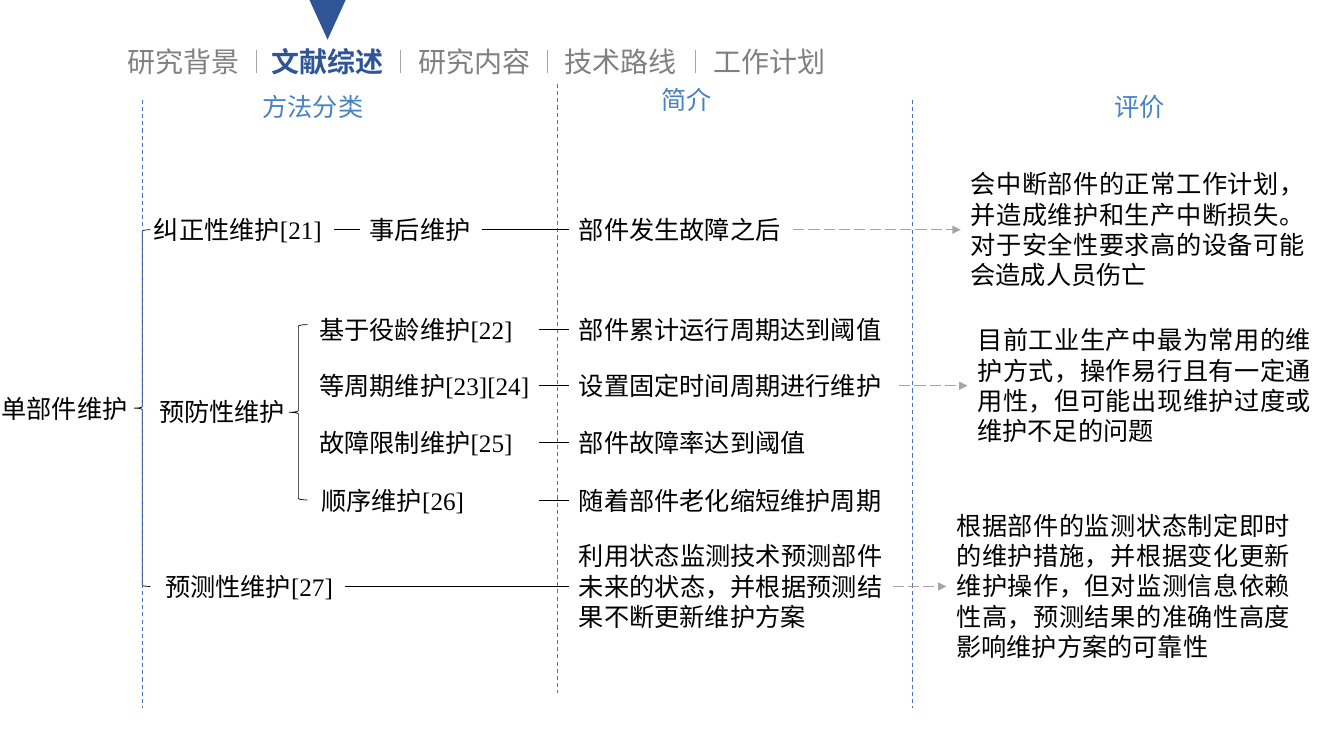
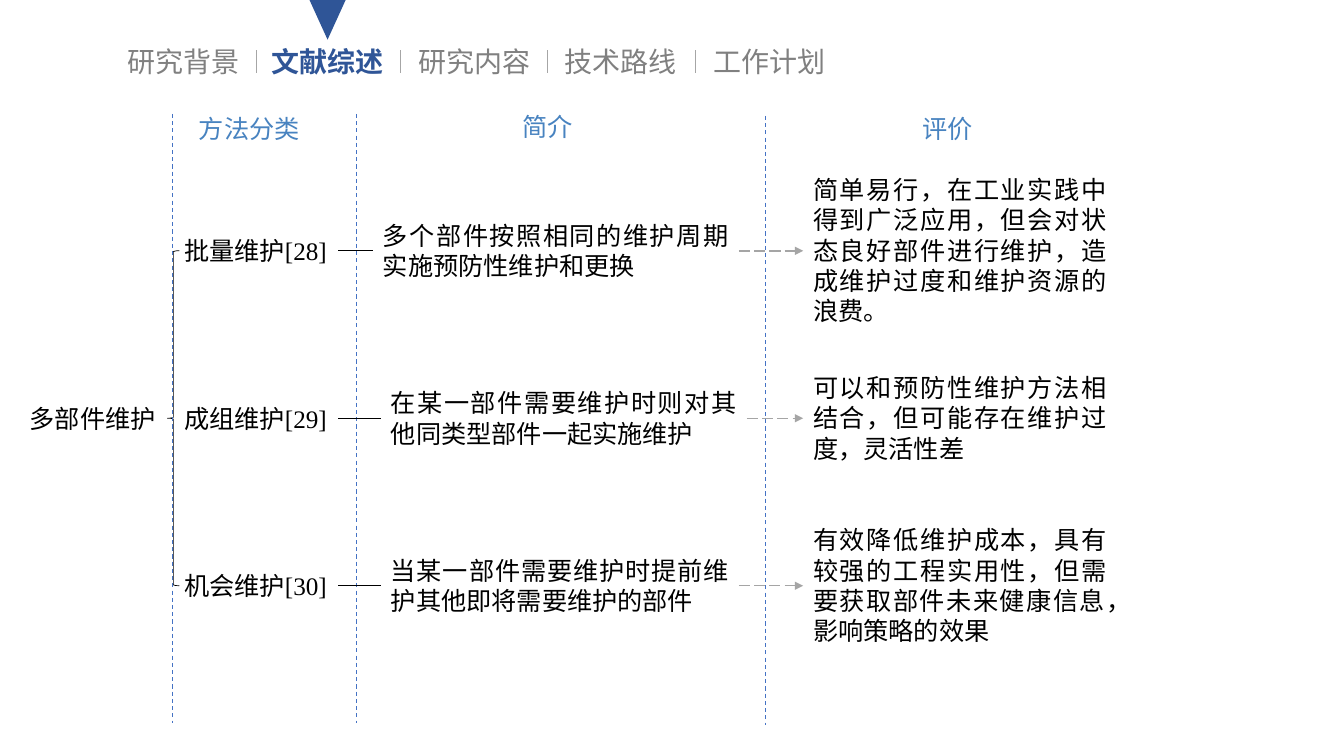
from dataclasses import dataclass

from lxml import etree
from pptx import Presentation
from pptx import util as u
from pptx.dml.color import RGBColor
from pptx.enum import dml, shapes, text
from pptx.oxml import ns

Cm, Pt = u.Cm, u.Pt
LEFT, CENTER, JUSTIFY = text.PP_ALIGN.LEFT, text.PP_ALIGN.CENTER, text.PP_ALIGN.JUSTIFY


@dataclass(frozen=True)
class Theme:
    nav: str = "808080"
    active: str = "2F5597"
    separator: str = "A6A6A6"
    heading: str = "4883C0"
    divider: str = "4472C4"
    arrow: str = "A5A5A5"
    ink: str = "000000"
    head_font: str = "Noto Sans CJK SC"
    body_font: str = "Times New Roman"
    nav_size: int = 20
    body_size: int = 18
    thin: float = 0.5
    medium: float = 0.75
    thick: float = 1


T = Theme()
BODY = {"name": T.body_font, "size": Pt(T.body_size), "color": T.ink}
HEADING = {"name": T.head_font, "size": Pt(T.body_size), "color": T.heading}
NAV = {"name": T.head_font, "size": Pt(T.nav_size), "color": T.nav}
ACTIVE = {**NAV, "color": T.active, "bold": True}
SOLID = {"color": T.ink, "width": T.thin}
SEPARATOR = {"color": T.separator, "width": T.thin}
DIVIDER = {"color": T.divider, "width": T.medium, "dash": dml.MSO_LINE.DASH}
ARROW = {"color": T.arrow, "width": T.thick, "dash": dml.MSO_LINE.LONG_DASH, "arrow": True}


def add_text(s, content, x, cy, w, fmt, lines=1, align=LEFT, wrap=True):
    h = 0.25 + 0.77 * lines
    sp = s.shapes.add_textbox(Cm(x), Cm(cy - h / 2), Cm(w), Cm(h))
    tf = sp.text_frame
    tf.word_wrap = wrap
    tf.auto_size = text.MSO_AUTO_SIZE.SHAPE_TO_FIT_TEXT
    p = tf.paragraphs[0]
    p.alignment = align
    r = p.add_run()
    r.text = content
    for key, value in fmt.items():
        if key == "color":
            r.font.color.rgb = RGBColor.from_string(value)
        else:
            setattr(r.font, key, value)
    if fmt["name"] == T.head_font:
        ea = etree.SubElement(r.font._element, ns.qn("a:ea"))
        ea.set("typeface", T.head_font)


def style_line(ln, fmt):
    ln.color.rgb = RGBColor.from_string(fmt["color"])
    ln.width = Pt(fmt["width"])
    if "dash" in fmt:
        ln.dash_style = fmt["dash"]


def add_line(s, x1, y1, x2, y2, fmt):
    c = s.shapes.add_connector(shapes.MSO_CONNECTOR.STRAIGHT, Cm(x1), Cm(y1), Cm(x2), Cm(y2))
    style_line(c.line, fmt)
    if fmt.get("arrow"):
        etree.SubElement(c.line._get_or_add_ln(), ns.qn("a:tailEnd")).set("type", "triangle")
    etree.SubElement(c._element.spPr, ns.qn("a:effectLst"))


def add_brace(s, x, y, w, h):
    sp = s.shapes.add_shape(shapes.MSO_SHAPE.LEFT_BRACE, Cm(x), Cm(y), Cm(w), Cm(h))
    sp.shadow.inherit = False
    sp.fill.background()
    style_line(sp.line, SOLID)


def nav_bar(s, box, active):
    x, y, w, h = box
    tabs = [("研究背景", 0), ("文献综述", 3.63), ("研究内容", 7.32), ("技术路线", 11), ("工作计划", 14.76)]
    for label, dx in tabs:
        add_text(s, label, x + dx, y + 1.51, 3.9, ACTIVE if label == active else NAV)
        if label == active:
            sp = s.shapes.add_shape(shapes.MSO_SHAPE.ISOSCELES_TRIANGLE,
                                    Cm(x + dx + 1.2), Cm(y), Cm(0.91), Cm(1))
            sp.rotation = 180
            sp.shadow.inherit = False
            sp.fill.solid()
            sp.fill.fore_color.rgb = RGBColor.from_string(T.active)
            sp.line.fill.background()
    for dx in (3.48, 7.12, 10.82, 14.56):
        add_line(s, x + dx, y + 1.27, x + dx, y + 1.83, SEPARATOR)


def columns(s, box, dividers, headings):
    x, y, w, h = box
    for dx, dy in dividers:
        add_line(s, x + dx, y + dy, x + dx, y + dy + 15.34, DIVIDER)
    for label, dx, cy, width in headings:
        add_text(s, label, x + dx, y + cy, width, HEADING, align=CENTER, wrap=False)


def single_part(s, box):
    x, y, w, h = box
    repair, age, period, limit, order, predict = rows = [3.79, 6.31, 7.72, 9.15, 10.61, 12.78]
    add_brace(s, x + 3.38, y + repair, 0.41, predict - repair)
    add_brace(s, x + 7.29, y + 6.18, 0.46, 4.42)
    columns(s, box, [(3.58, 0.51), (14.05, 0.11), (22.99, 0.51)],
            [("方法分类", 6.35, 0.69, 3.07), ("简介", 16.41, 0.51, 1.8), ("评价", 27.81, 0.69, 1.8)])

    names = [("单部件维护", -0.23, 8.29, CENTER), ("预防性维护", 3.76, 8.36, JUSTIFY),
             ("事后维护", 9.07, repair, JUSTIFY)]
    for label, dx, cy, align in names:
        add_text(s, label, x + dx, y + cy, 0.51 + 0.64 * len(label), BODY, align=align, wrap=False)
    cited = [("纠正性维护[21]", 3.63, repair, 4.78, JUSTIFY), ("预测性维护[27]", 3.91, predict, 4.78, JUSTIFY),
             ("基于役龄维护[22]", 7.8, age, 5.79, LEFT), ("等周期维护[23][24]", 7.8, period, 5.79, LEFT),
             ("故障限制维护[25]", 7.8, limit, 5.79, LEFT), ("顺序维护[26]", 7.85, order, 5.74, LEFT)]
    for label, dx, cy, width, align in cited:
        add_text(s, label, x + dx, y + cy, width, BODY, align=align)

    intros = ["部件发生故障之后", "部件累计运行周期达到阈值", "设置固定时间周期进行维护", "部件故障率达到阈值",
              "随着部件老化缩短维护周期", "利用状态监测技术预测部件未来的状态，并根据预测结果不断更新维护方案"]
    starts = [12.14, 13.59, 13.59, 13.59, 13.59, 8.69]
    for cy, intro, start in zip(rows, intros, starts):
        add_text(s, intro, x + 14.34, y + cy, 8.15, BODY, 3 if cy == predict else 1, JUSTIFY)
        add_line(s, x + start, y + cy, x + 14.34, y + cy, SOLID)
    add_line(s, x + 8.41, y + repair, x + 9.07, y + repair, SOLID)

    reviews = [
        (repair, 19.99, 24.21, 4, "会中断部件的正常工作计划，并造成维护和生产中断损失。对于安全性要求高的设备可能会造成人员伤亡"),
        (period, 22.66, 24.38, 4, "目前工业生产中最为常用的维护方式，操作易行且有一定通用性，但可能出现维护过度或维护不足的问题"),
        (predict, 22.5, 23.85, 5, "根据部件的监测状态制定即时的维护措施，并根据变化更新维护操作，但对监测信息依赖性高，"
                                  "预测结果的准确性高度影响维护方案的可靠性"),
    ]
    for cy, start, end, lines, review in reviews:
        add_text(s, review, x + end, y + cy, 8.92, BODY, lines, JUSTIFY)
        add_line(s, x + start, y + cy, x + end, y + cy, ARROW)


def multi_part(s, box):
    x, y, w, h = box
    first, pitch, review_x = 3.62, 4.22, 19.76
    add_brace(s, x + 3.74, y + first, 0.3, 2 * pitch)
    columns(s, box, [(3.86, 0.17), (8.51, 0.17), (18.82, 0.22)],
            [("方法分类", 4.27, 0.53, 3.07), ("简介", 12.42, 0.5, 1.8), ("评价", 22.51, 0.53, 1.8)])
    add_text(s, "多部件维护", x, y + 7.86, 3.71, BODY, align=CENTER, wrap=False)
    methods = [
        ("批量维护[28]", 8.92, 9.22, "多个部件按照相同的维护周期实施预防性维护和更换",
         5, "简单易行，在工业实践中得到广泛应用，但会对状态良好部件进行维护，造成维护过度和维护资源的浪费。"),
        ("成组维护[29]", 9.12, 9.22, "在某一部件需要维护时则对其他同类型部件一起实施维护",
         3, "可以和预防性维护方法相结合，但可能存在维护过度，灵活性差"),
        ("机会维护[30]", 9.12, 9.02, "当某一部件需要维护时提前维护其他即将需要维护的部件",
         4, "有效降低维护成本，具有较强的工程实用性，但需要获取部件未来健康信息，影响策略的效果"),
    ]
    for i, (name, dx, width, intro, lines, review) in enumerate(methods):
        cy = y + first + i * pitch
        add_text(s, name, x + 3.89, cy, 4.14, BODY, align=CENTER)
        add_text(s, intro, x + dx, cy, width, BODY, 2, JUSTIFY)
        add_text(s, review, x + review_x, cy, 7.9, BODY, lines, JUSTIFY)
        add_line(s, x + 8.05, cy, x + dx, cy, SOLID)
        add_line(s, x + dx + width, cy, x + review_x, cy, ARROW)


def main():
    prs = Presentation()
    prs.slide_width, prs.slide_height = Cm(33.87), Cm(19.05)
    pages = [(single_part, (0, 2, 33.87, 16)), (multi_part, (0.48, 2.7, 28, 15.6))]
    for build, box in pages:
        s = prs.slides.add_slide(prs.slide_layouts[6])
        nav_bar(s, (2.97, 0, 19.1, 2.1), "文献综述")
        build(s, box)
    prs.save("out.pptx")


if __name__ == "__main__":
    main()
